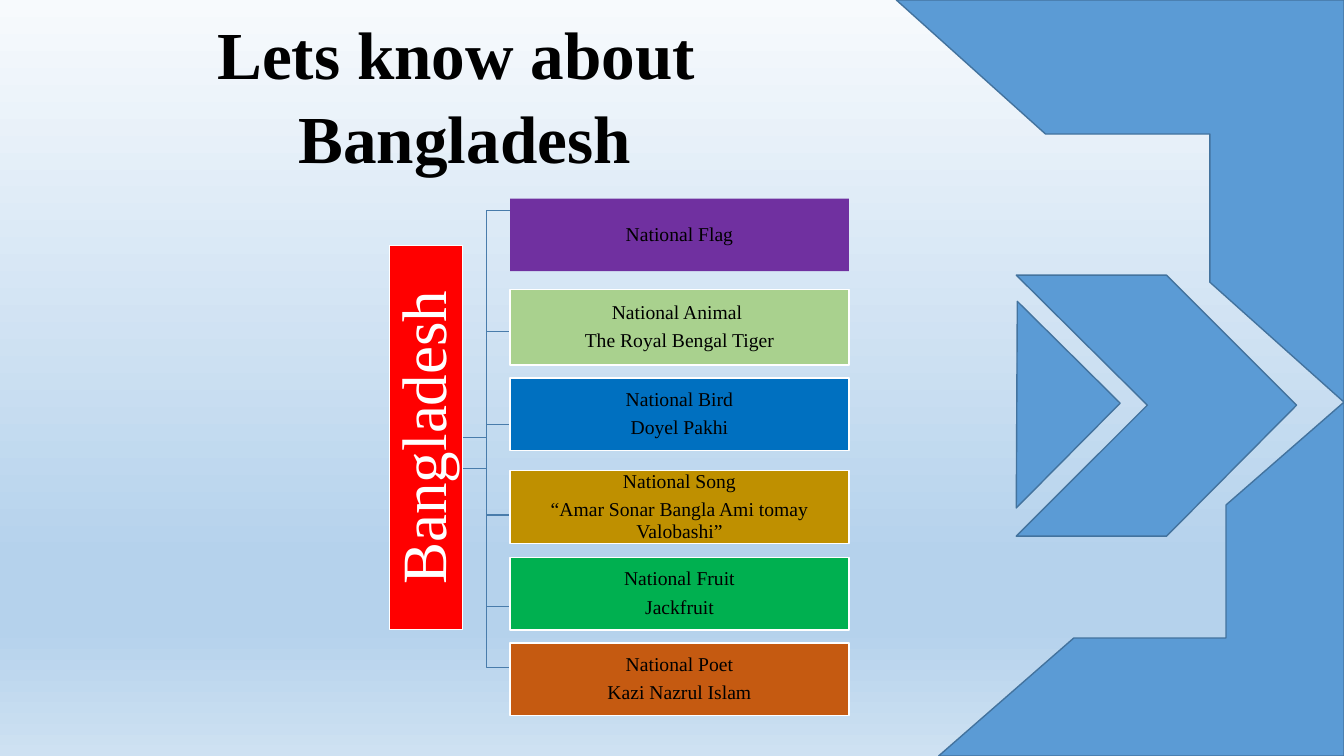
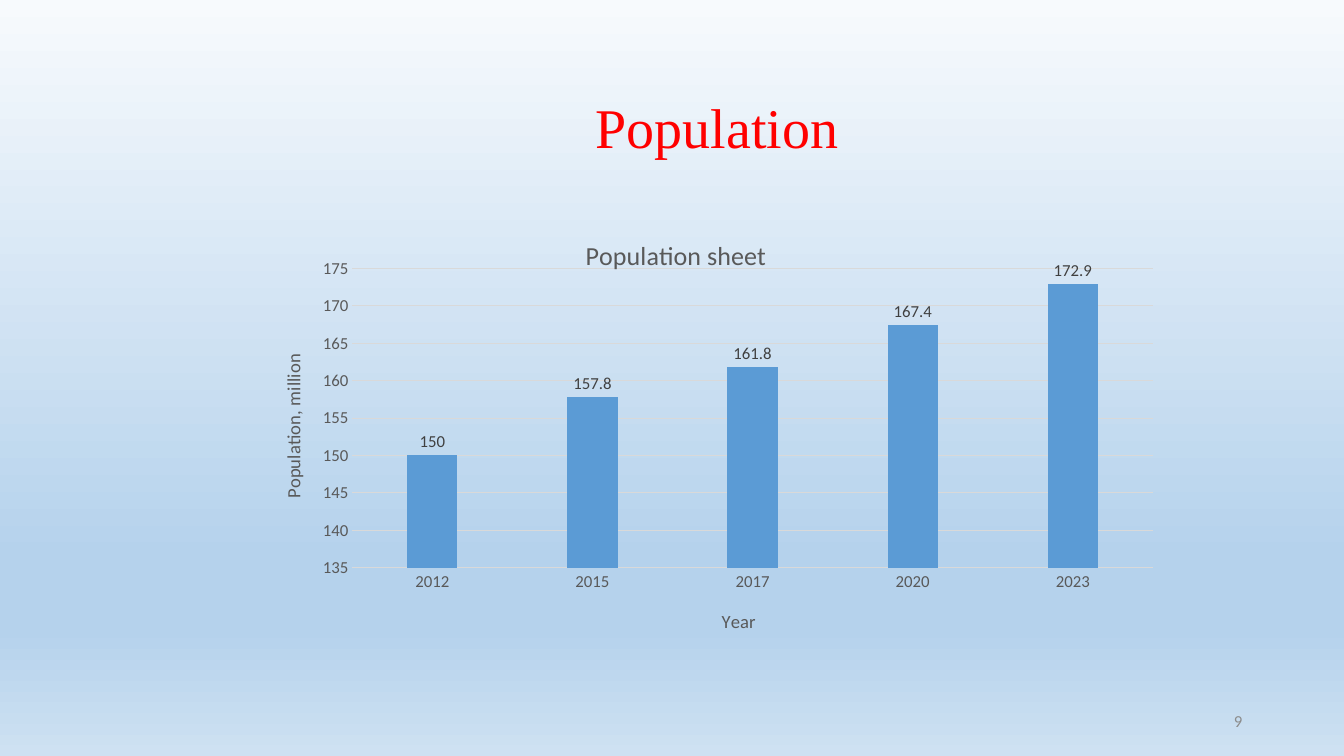
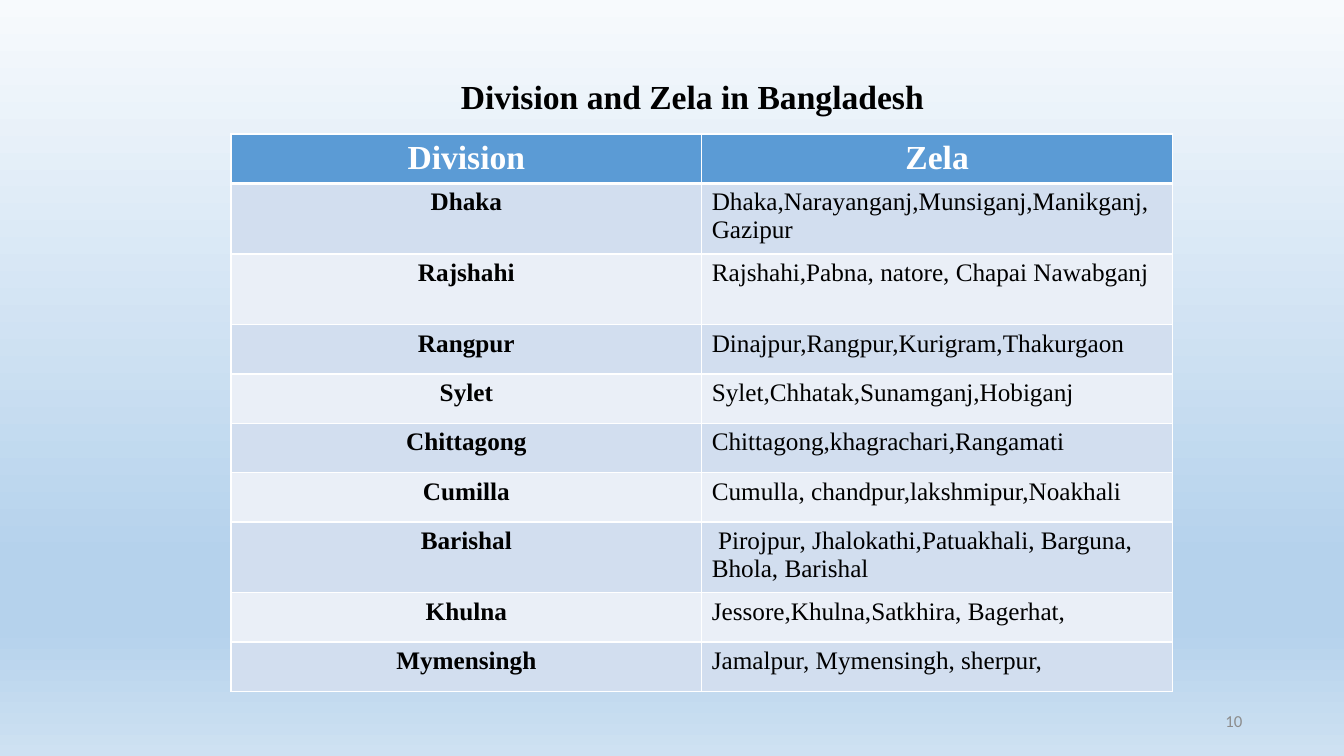
"""Build three slides about Bangladesh: national symbols, population and divisions."""
from dataclasses import dataclass
from typing import NamedTuple, Optional

from pptx import Presentation
from pptx.chart.data import CategoryChartData
from pptx.dml.color import RGBColor
from pptx.enum.chart import XL_CHART_TYPE, XL_LABEL_POSITION, XL_TICK_MARK
from pptx.enum.shapes import MSO_CONNECTOR, MSO_SHAPE
from pptx.enum.text import MSO_ANCHOR, MSO_AUTO_SIZE, PP_ALIGN
from pptx.oxml import parse_xml
from pptx.oxml.ns import nsdecls, qn
from pptx.oxml.xmlchemy import OxmlElement
from pptx.util import Inches, Pt

LEFT, CENTER, RIGHT = PP_ALIGN.LEFT, PP_ALIGN.CENTER, PP_ALIGN.RIGHT
TOP, MIDDLE = MSO_ANCHOR.TOP, MSO_ANCHOR.MIDDLE
RECTANGLE, ELBOW = MSO_SHAPE.RECTANGLE, MSO_CONNECTOR.ELBOW
NO_FIT = MSO_AUTO_SIZE.NONE
COLUMNS, OUTSIDE_END = XL_CHART_TYPE.COLUMN_CLUSTERED, XL_LABEL_POSITION.OUTSIDE_END
NO_TICK = XL_TICK_MARK.NONE
TITLE_ONLY = 5
SERIF, SANS = "Times New Roman", "Calibri"


def rgb(value: str) -> RGBColor:
    """Return the colour for a hex string."""
    return RGBColor.from_string(value)


class TextStyle(NamedTuple):
    """Type size, colour, weight and family."""
    size: float
    color: RGBColor
    bold: bool = False
    name: str = SERIF


@dataclass(frozen=True)
class Theme:
    """Colours and text styles shared by the slides."""
    white: RGBColor = rgb("FFFFFF")
    accent: RGBColor = rgb("5B9BD5")
    accent_line: RGBColor = rgb("43739E")
    link: RGBColor = rgb("497CAB")
    red: RGBColor = rgb("FF0000")
    grid: RGBColor = rgb("D9D9D9")
    bands: tuple = (rgb("EAEFF7"), rgb("D2DEEF"))
    backdrop: tuple = ((0, "F7FAFD"), (74, "B5D2EC"), (83, "B5D2EC"), (100, "CEE1F2"))
    cover_title: TextStyle = TextStyle(48, rgb("000000"), True)
    chart_slide_title: TextStyle = TextStyle(40, rgb("FF0000"))
    table_slide_title: TextStyle = TextStyle(24, rgb("000000"), True)
    root: TextStyle = TextStyle(45, rgb("FFFFFF"))
    node: TextStyle = TextStyle(14, rgb("000000"))
    header: TextStyle = TextStyle(24, rgb("FFFFFF"), True)
    division: TextStyle = TextStyle(18, rgb("000000"), True)
    zela: TextStyle = TextStyle(18, rgb("000000"))
    page: TextStyle = TextStyle(12, rgb("8C8C8C"), name=SANS)
    chart_title: TextStyle = TextStyle(18.6, rgb("595959"), name=SANS)
    axis_title: TextStyle = TextStyle(13.3, rgb("595959"), name=SANS)
    axis: TextStyle = TextStyle(12, rgb("595959"), name=SANS)
    data_label: TextStyle = TextStyle(12, rgb("404040"), name=SANS)


THEME = Theme()


@dataclass(frozen=True)
class Box:
    """A rectangle in inches."""
    left: float
    top: float
    width: float
    height: float

    def emu(self) -> tuple:
        """Return the four lengths for python-pptx."""
        return tuple(Inches(v) for v in (self.left, self.top, self.width, self.height))


@dataclass(frozen=True)
class Node:
    """One national symbol and the ends of its link."""
    lines: tuple
    fill: RGBColor
    top: float
    link_start: float
    link_end: float
    height: float = 0.72
    outline: Optional[RGBColor] = THEME.white


NODES = (
    Node(("National Flag",), rgb("7030A0"), 1.97, 4.34, 2.09, outline=None),
    Node(("National Animal ", "The Royal Bengal Tiger"), rgb("A9D18E"), 2.87, 4.65, 3.29, 0.75),
    Node(("National Bird", "Doyel Pakhi"), rgb("0070C0"), 3.75, 4.65, 4.21),
    Node(("National Song", "“Amar Sonar Bangla Ami tomay Valobashi”"),
         rgb("BF9000"), 4.67, 4.65, 5.11),
    Node(("National Fruit", "Jackfruit"), rgb("00B050"), 5.53, 4.65, 6.02),
    Node(("National Poet", "Kazi Nazrul Islam"), rgb("C55A11"), 6.38, 4.34, 6.62),
)
NODE_LEFT, NODE_WIDTH, ROOT_RIGHT = 5.06, 3.36, 4.59

ARROW_OUTLINES = (
    ((13.33, 3.99), (13.33, 7.5), (9.31, 7.5), (10.65, 6.33), (12.16, 6.33), (12.16, 5.01)),
    ((10.09, 2.99), (11.11, 4), (10.08, 5.04)),
    ((10.08, 2.73), (11.57, 2.73), (12.86, 4.02), (11.57, 5.32), (10.08, 5.32), (11.38, 4.02)),
    ((8.89, 0), (13.33, 0), (13.33, 3.99), (12, 2.8), (12, 1.33), (10.37, 1.33)),
)

POPULATION = {"2012": 150, "2015": 157.8, "2017": 161.8, "2020": 167.4, "2023": 172.9}

DIVISIONS = (
    ("Division", "Zela"),
    ("Dhaka", "Dhaka,Narayanganj,Munsiganj,Manikganj,Gazipur"),
    ("Rajshahi", "Rajshahi,Pabna, natore, Chapai Nawabganj"),
    ("Rangpur", "Dinajpur,Rangpur,Kurigram,Thakurgaon"),
    ("Sylet", "Sylet,Chhatak,Sunamganj,Hobiganj"),
    ("Chittagong", "Chittagong,khagrachari,Rangamati"),
    ("Cumilla", "Cumulla, chandpur,lakshmipur,Noakhali"),
    ("Barishal", " Pirojpur, Jhalokathi,Patuakhali, Barguna, Bhola, Barishal"),
    ("Khulna", "Jessore,Khulna,Satkhira, Bagerhat,"),
    ("Mymensingh", "Jamalpur, Mymensingh, sherpur,"),
)
TALL_ROWS = (1, 2, 7)


def set_font(font, style: TextStyle) -> None:
    """Apply a text style to a font."""
    font.size, font.bold, font.name = Pt(style.size), style.bold, style.name
    font.color.rgb = style.color


def write(tf, lines: tuple, style: TextStyle, align=CENTER,
          spacing: Optional[float] = None, after: Optional[float] = None) -> None:
    """Fill a text frame with one paragraph per line."""
    tf.word_wrap = True
    for i, line in enumerate(lines):
        p = tf.paragraphs[0] if i == 0 else tf.add_paragraph()
        p.text, p.alignment, p.line_spacing = line, align, spacing
        if after is not None:
            p.space_after = Pt(after)
        set_font(p.font, style)


def add_slide(prs, lines: tuple, box: Box, style: TextStyle, align=CENTER,
              spacing: Optional[float] = None):
    """Add a title-only slide and format its title."""
    s = prs.slides.add_slide(prs.slide_layouts[TITLE_ONLY])
    title = s.shapes.title
    title.left, title.top, title.width, title.height = box.emu()
    tf = title.text_frame
    tf.vertical_anchor, tf.auto_size = TOP, NO_FIT
    write(tf, lines, style, align, spacing)
    return s


def add_page_number(s, number: int) -> None:
    """Add the page number at the lower right."""
    tf = s.shapes.add_textbox(*Box(9.42, 6.95, 3, 0.4).emu()).text_frame
    tf.vertical_anchor = MIDDLE
    write(tf, (str(number),), THEME.page, RIGHT)


def set_backdrop(prs) -> None:
    """Give the master its vertical gradient."""
    fill = prs.slide_master.background.fill
    fill.gradient()
    fill.gradient_angle = 270
    stops = prs.slide_master.element.find(".//" + qn("p:bgPr")).find(".//" + qn("a:gsLst"))
    for stop in list(stops):
        stops.remove(stop)
    for percent, color in THEME.backdrop:
        stops.append(parse_xml(f'<a:gs {nsdecls("a")} pos="{percent * 1000}">'
                               f'<a:srgbClr val="{color}"/></a:gs>'))


def paint(sp, fill: RGBColor, outline: Optional[RGBColor]) -> None:
    """Set the fill and outline of a shape without shadow."""
    sp.shadow.inherit = False
    sp.fill.solid()
    sp.fill.fore_color.rgb = fill
    if outline is None:
        sp.line.fill.background()
    else:
        sp.line.color.rgb, sp.line.width = outline, Pt(1)


def add_block(s, box: Box, lines: tuple, fill: RGBColor, outline: Optional[RGBColor],
              style: TextStyle, inset: float):
    """Add a filled rectangle with centred text."""
    sp = s.shapes.add_shape(RECTANGLE, *box.emu())
    paint(sp, fill, outline)
    tf = sp.text_frame
    tf.margin_left = tf.margin_right = tf.margin_top = tf.margin_bottom = Inches(inset)
    tf.vertical_anchor = MIDDLE
    write(tf, lines, style, spacing=0.9, after=round(style.size * 0.35))
    return sp


def add_link(s, node: Node) -> None:
    """Join the root block to a node with an elbow line."""
    link = s.shapes.add_connector(ELBOW, Inches(ROOT_RIGHT), Inches(node.link_start),
                                  Inches(NODE_LEFT), Inches(node.link_end))
    link.line.color.rgb, link.line.width = THEME.link, Pt(1)
    link._element.spPr.append(OxmlElement("a:effectLst"))


def add_arrows(s) -> None:
    """Draw the arrow ornament at the right edge."""
    contours = [[(Inches(x), Inches(y)) for x, y in outline] for outline in ARROW_OUTLINES]
    builder = s.shapes.build_freeform(*contours[0][0])
    for i, points in enumerate(contours):
        if i:
            builder.move_to(*points[0])
        builder.add_line_segments(points[1:], close=True)
    paint(builder.convert_to_shape(), THEME.accent, THEME.accent_line)


def build_symbols(prs) -> None:
    """Build the slide of national symbols."""
    s = add_slide(prs, ("Lets know about ", "Bangladesh"), Box(0, 0.04, 9.22, 2.02),
                  THEME.cover_title, spacing=1.04)
    for node in reversed(NODES):
        add_link(s, node)
    root = add_block(s, Box(2.32, 3.98, 3.81, 0.72), ("Bangladesh",), THEME.red,
                     THEME.white, THEME.root, 0.03)
    root.rotation = 270
    for node in NODES:
        add_block(s, Box(NODE_LEFT, node.top, NODE_WIDTH, node.height), node.lines,
                  node.fill, node.outline, THEME.node, 0.01)
    add_arrows(s)


def place(parent, index: int, x: float, y: float, size: Optional[tuple] = None) -> None:
    """Give a chart part a manual layout in fractions of the chart."""
    for old in parent.findall(qn("c:layout")):
        parent.remove(old)
    values = [("xMode", "edge"), ("yMode", "edge"), ("x", x), ("y", y)]
    if size:
        values = [("layoutTarget", "inner"), *values, ("w", size[0]), ("h", size[1])]
    items = "".join(f'<c:{tag} val="{value}"/>' for tag, value in values)
    parent.insert(index, parse_xml(f'<c:layout {nsdecls("c")}><c:manualLayout>{items}'
                                   '</c:manualLayout></c:layout>'))


def title_part(title, text: str, style: TextStyle, x: float, y: float) -> None:
    """Write and place a chart or axis title."""
    p = title.text_frame.paragraphs[0]
    p.text = text
    set_font(p.font, style)
    place(title._element, 1, x, y)


def build_population(prs) -> None:
    """Build the slide with the population chart."""
    s = add_slide(prs, ("Population",), Box(5.63, 0.87, 2.96, 0.77), THEME.chart_slide_title)
    data = CategoryChartData()
    data.categories = list(POPULATION)
    data.add_series("Series 1", list(POPULATION.values()))
    chart = s.shapes.add_chart(COLUMNS, *Box(1.87, 2, 9.73, 4.35).emu(), data).chart
    set_font(chart.font, THEME.axis)
    chart.has_legend = False
    chart.has_title = True
    title_part(chart.chart_title, "Population sheet", THEME.chart_title, 0.4, 0.07)

    years, people = chart.category_axis, chart.value_axis
    for axis, text, x, y in ((years, "Year", 0.54, 0.92),
                             (people, "Population, million", 0.09, 0.34)):
        axis.major_tick_mark = axis.minor_tick_mark = NO_TICK
        set_font(axis.tick_labels.font, THEME.axis)
        axis.has_title = True
        title_part(axis.axis_title, text, THEME.axis_title, x, y)
    people.axis_title.text_frame._bodyPr.set("rot", "-5400000")
    people.minimum_scale, people.maximum_scale, people.major_unit = 135, 175, 5
    people.format.line.fill.background()
    people.has_major_gridlines = True
    for line in (years.format.line, people.major_gridlines.format.line):
        line.color.rgb, line.width = THEME.grid, Pt(0.75)

    plot = chart.plots[0]
    plot.gap_width, plot.overlap, plot.vary_by_categories = 219, -27, False
    fill = plot.series[0].format.fill
    fill.solid()
    fill.fore_color.rgb = THEME.accent
    plot.has_data_labels = True
    labels = plot.data_labels
    labels.show_value, labels.position = True, OUTSIDE_END
    set_font(labels.font, THEME.data_label)
    place(chart._chartSpace.find(".//" + qn("c:plotArea")), 0, 0.167, 0.153, (0.816, 0.682))
    add_page_number(s, 9)


def border_cell(cell, top: float, bottom: float) -> None:
    """Draw white borders around a cell."""
    tc_pr = cell._tc.get_or_add_tcPr()
    for side, width in (("L", 1), ("R", 1), ("T", top), ("B", bottom)):
        tc_pr.append(parse_xml(f'<a:ln{side} {nsdecls("a")} w="{Pt(width)}"><a:solidFill>'
                               f'<a:srgbClr val="{THEME.white}"/></a:solidFill></a:ln{side}>'))


def build_divisions(prs) -> None:
    """Build the slide with the table of divisions."""
    s = add_slide(prs, ("Division and Zela in Bangladesh",), Box(4.47, 0.7, 5.47, 0.5),
                  THEME.table_slide_title, LEFT)
    table = s.shapes.add_table(len(DIVISIONS), 2, *Box(2.29, 1.33, 9.34, 5.51).emu()).table
    for i, texts in enumerate(DIVISIONS):
        table.rows[i].height = Inches(0.7 if i in TALL_ROWS else 0.49)
        for j, text in enumerate(texts):
            cell = table.cell(i, j)
            border_cell(cell, 3 if i == 1 else 1, 3 if i == 0 else 1)
            cell.fill.solid()
            cell.fill.fore_color.rgb = THEME.bands[i % 2] if i else THEME.accent
            style = (THEME.division, THEME.zela)[j] if i else THEME.header
            write(cell.text_frame, (text,), style, LEFT if i and j else CENTER)
    add_page_number(s, 10)


def main() -> None:
    """Build and save the presentation."""
    prs = Presentation()
    prs.slide_width, prs.slide_height = Inches(13.33), Inches(7.5)
    set_backdrop(prs)
    build_symbols(prs)
    build_population(prs)
    build_divisions(prs)
    prs.save("out.pptx")


if __name__ == "__main__":
    main()
